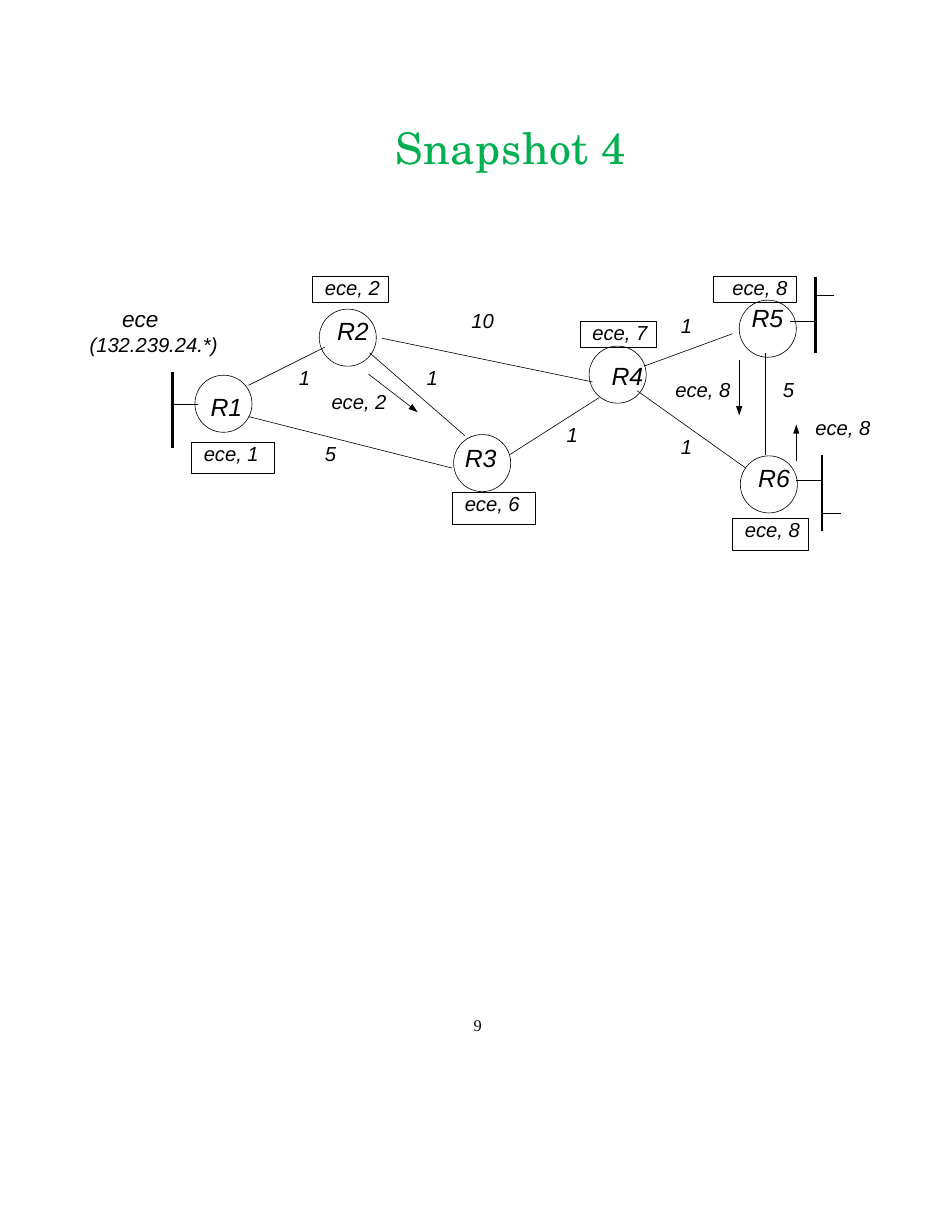
import pptx
import pptx.dml.color
import pptx.enum.shapes
import pptx.enum.text
import pptx.util
from lxml import etree
from pptx.oxml.ns import qn
from pptx.util import Inches

BLACK, GREEN = "000000", "00B050"
THIN, THICK = 0.41, 1.64
SHAPES = pptx.enum.shapes.MSO_SHAPE

# All network positions are inches from the top left of the network's box.
ROUTERS = [  # name, circle left and top, label left and top
    ("R1", 1.24, 1.35, 1.37, 1.5),
    ("R2", 2.35, 0.76, 2.5, 0.82),
    ("R3", 3.55, 1.88, 3.64, 1.95),
    ("R4", 4.76, 1.09, 4.95, 1.22),
    ("R5", 6.1, 0.68, 6.2, 0.7),
    ("R6", 6.11, 2.07, 6.26, 2.13),
]
LINKS = [  # from, to
    (1.72, 1.44, 2.4, 1.1),
    (1.72, 1.72, 3.54, 2.18),
    (2.8, 1.15, 3.65, 1.89),
    (2.91, 1.02, 4.79, 1.41),
    (4.05, 2.06, 4.85, 1.55),
    (5.25, 1.27, 6.04, 0.98),
    (5.19, 1.49, 6.16, 2.18),
    (6.33, 1.15, 6.33, 2.06),
]
COSTS = [  # cost, left, top
    ("1", 2.16, 1.26), ("1", 3.3, 1.26), ("1", 4.55, 1.77), ("10", 3.7, 0.75),
    ("1", 5.57, 0.8), ("1", 5.57, 1.88), ("5", 6.48, 1.37), ("5", 2.39, 1.94),
]
LANS = [  # bar left and top, then (drop, reach) of each stub
    (1.04, 1.32, [(0.29, 0.23)]),
    (6.78, 0.47, [(0.4, -0.23), (0.17, 0.17)]),
    (6.84, 2.06, [(0.23, -0.23), (0.52, 0.17)]),
]
UPDATES = [  # text, left, top, then arrow from and to
    ("ece, 2", 2.45, 1.48, (2.79, 1.34, 3.23, 1.68)),
    ("ece, 8", 5.52, 1.37, (6.1, 1.21, 6.1, 1.71)),
    ("ece, 8", 6.77, 1.71, (6.61, 2.12, 6.61, 1.79)),
]
ROUTES = [  # text, left, top, width, height, indent
    ("ece, 6", 3.54, 2.4, 0.74, 0.28, 0.11),
    ("ece, 1", 1.21, 1.95, 0.74, 0.28, 0.11),
    ("ece, 7", 4.68, 0.87, 0.68, 0.23, 0.11),
    ("ece, 2", 2.29, 0.47, 0.68, 0.23, 0.11),
    ("ece, 8", 5.87, 0.47, 0.74, 0.23, 0.17),
    ("ece, 8", 6.04, 2.63, 0.68, 0.28, 0.11),
]


def rgb(value):
    return pptx.dml.color.RGBColor.from_string(value)


def set_frame(tf):
    for name in ("margin_left", "margin_top", "margin_right", "margin_bottom"):
        setattr(tf, name, 0)
    tf.word_wrap = True
    tf.vertical_anchor = pptx.enum.text.MSO_ANCHOR.TOP


def write(p, text, size, indent=0.01, color=BLACK, name="Arial", italic=True):
    p.alignment = pptx.enum.text.PP_ALIGN.LEFT
    p._p.get_or_add_pPr().set("marL", str(Inches(indent)))
    r = p.add_run()
    r.text = text
    font = {"name": name, "size": pptx.util.Pt(size), "italic": italic}
    for key, value in font.items():
        setattr(r.font, key, value)
    r.font.color.rgb = rgb(color)
    return r


def add_label(s, text, left, top, width, height, size, **style):
    sp = s.shapes.add_textbox(Inches(left), Inches(top), Inches(width), Inches(height))
    set_frame(sp.text_frame)
    write(sp.text_frame.paragraphs[0], text, size, **style)
    return sp.text_frame


def add_outline(s, kind, left, top, width, height):
    sp = s.shapes.add_shape(kind, Inches(left), Inches(top), Inches(width), Inches(height))
    sp.shadow.inherit = False
    sp.fill.background()
    sp.line.color.rgb = rgb(BLACK)
    sp.line.width = pptx.util.Pt(THIN)
    return sp


def add_line(s, x1, y1, x2, y2, width=THIN, arrow=False):
    line = s.shapes.add_connector(
        pptx.enum.shapes.MSO_CONNECTOR.STRAIGHT,
        Inches(x1), Inches(y1), Inches(x2), Inches(y2))
    line.line.color.rgb = rgb(BLACK)
    line.line.width = pptx.util.Pt(width)
    if arrow:
        etree.SubElement(line.line._get_or_add_ln(), qn("a:tailEnd"),
                         type="triangle", w="sm", len="med")
    etree.SubElement(line._element.spPr, qn("a:effectLst"))


def add_title(s, left, top, width, height):
    sp = s.shapes.title
    sp.left, sp.top, sp.width, sp.height = map(Inches, (left, top, width, height))
    set_frame(sp.text_frame)
    p = sp.text_frame.paragraphs[0]
    r = write(p, "Snapshot 4", 28, color=GREEN, name="TeX Gyre Schola", italic=False)
    r._r.get_or_add_rPr().set("spc", "50")
    p.alignment = pptx.enum.text.PP_ALIGN.CENTER


def add_network(s, left, top):
    def shift(x1, y1, x2, y2):
        return left + x1, top + y1, left + x2, top + y2

    for name, x, y, label_x, label_y in ROUTERS:
        add_outline(s, SHAPES.OVAL, left + x, top + y, 0.51, 0.51)
        add_label(s, name, left + label_x, top + label_y, 0.32, 0.28, 16)
    for ends in LINKS:
        add_line(s, *shift(*ends))
    for cost, x, y in COSTS:
        add_label(s, cost, left + x, top + y, 0.03 + 0.1 * len(cost), 0.23, 13)
    for x, y, stubs in LANS:
        add_line(s, *shift(x, y, x, y + 0.68), width=THICK)
        for drop, reach in stubs:
            add_line(s, *shift(x, y + drop, x + reach, y + drop))
    for text, x, y, ends in UPDATES:
        add_label(s, text, left + x, top + y, 0.52, 0.23, 13)
        add_line(s, *shift(*ends), arrow=True)
    for text, x, y, width, height, indent in ROUTES:
        sp = add_outline(s, SHAPES.RECTANGLE, left + x, top + y, width, height)
        set_frame(sp.text_frame)
        p = sp.text_frame.paragraphs[0]
        p.line_spacing = pptx.util.Pt(14.7)
        write(p, text, 13, indent)
    tf = add_label(s, "ece", left + 0.29, top + 0.72, 1.18, 0.48, 14.5, indent=0.3)
    p = tf.add_paragraph()
    p.space_before = pptx.util.Pt(0.5)
    write(p, "(132.239.24.*)", 13)


def add_page_number(s, left, top, width, height):
    tf = add_label(s, "9", left, top, width, height, 10.5, indent=0.03,
                   name="Times New Roman", italic=False)
    tf.margin_top = Inches(0.01)
    tf.paragraphs[0].line_spacing = pptx.util.Pt(12.3)


def main():
    prs = pptx.Presentation()
    prs.slide_width, prs.slide_height = Inches(8.5), Inches(11)
    s = prs.slides.add_slide(prs.slide_layouts[5])
    add_title(s, 1.5, 1.08, 6.11, 0.47)
    add_network(s, 0.5, 2)
    add_page_number(s, 4.2, 9.06, 0.2, 0.18)
    prs.save("out.pptx")


if __name__ == "__main__":
    main()
